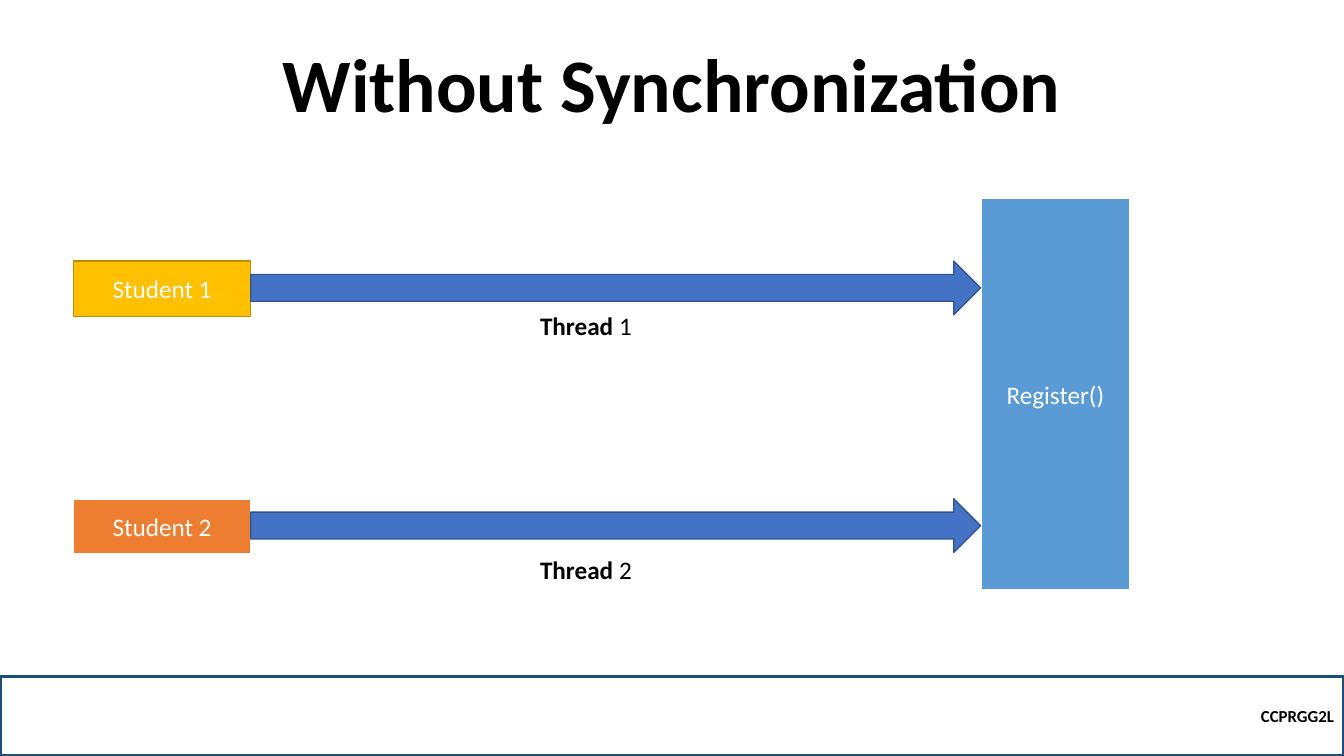
from pptx import Presentation
from pptx.dml.color import RGBColor
from pptx.enum.shapes import MSO_SHAPE as Shape
from pptx.enum.text import MSO_ANCHOR as Anchor, MSO_AUTO_SIZE as AutoSize, PP_ALIGN as Align
from pptx.util import Cm, Pt

BLACK = RGBColor(0x00, 0x00, 0x00)
WHITE = RGBColor(0xFF, 0xFF, 0xFF)
NAVY = RGBColor(0x1F, 0x4E, 0x79)
SKY = RGBColor(0x5B, 0x9B, 0xD5)
ORANGE = RGBColor(0xED, 0x7D, 0x31)
GOLD = RGBColor(0xFF, 0xC0, 0x00)
DARK_GOLD = RGBColor(0xBD, 0x8E, 0x00)
BLUE = RGBColor(0x44, 0x72, 0xC4)
DARK_BLUE = RGBColor(0x32, 0x54, 0x91)

PAGE_WIDTH, PAGE_HEIGHT = 33.87, 19.05


class SlideBuilder:
    font_name = "Calibri"

    def __init__(self, deck):
        self.page = deck.slides.add_slide(deck.slide_layouts[5])

    def add_span(self, para, text, color=BLACK, **formats):
        span = para.add_run()
        span.text = text
        values = {"name": self.font_name, "size": Pt(18), "bold": False, **formats}
        for name, value in values.items():
            setattr(span.font, name, value)
        span.font.color.rgb = color

    def title(self, text, left, top, width, height):
        box = self.page.shapes.title
        place = {"left": left, "top": top, "width": width, "height": height}
        for name, value in place.items():
            setattr(box, name, Cm(value))
        frame = box.text_frame
        frame.auto_size = AutoSize.NONE
        frame.vertical_anchor = Anchor.BOTTOM
        para = frame.paragraphs[0]
        para.alignment, para.line_spacing = Align.CENTER, 0.9
        self.add_span(para, text, size=Pt(54), bold=True)

    def shape(self, kind, place, fill, line, weight):
        box = self.page.shapes.add_shape(kind, *map(Cm, place))
        box.shadow.inherit = False
        if fill is None:
            box.fill.background()
        else:
            box.fill.solid()
            box.fill.fore_color.rgb = fill
        box.line.color.rgb = line
        box.line.width = Pt(weight)
        return box

    def block(self, text, place, fill, line, weight, align=Align.CENTER, **formats):
        box = self.shape(Shape.RECTANGLE, place, fill, line, weight)
        box.text_frame.vertical_anchor = Anchor.MIDDLE
        para = box.text_frame.paragraphs[0]
        para.alignment = align
        self.add_span(para, text, **formats)

    def arrow(self, *place):
        self.shape(Shape.RIGHT_ARROW, place, BLUE, DARK_BLUE, 1)

    def label(self, strong, rest, *place):
        frame = self.page.shapes.add_textbox(*map(Cm, place)).text_frame
        frame.word_wrap = False
        frame.auto_size = AutoSize.SHAPE_TO_FIT_TEXT
        para = frame.paragraphs[0]
        self.add_span(para, strong, bold=True)
        self.add_span(para, rest)


deck = Presentation()
deck.slide_width, deck.slide_height = Cm(PAGE_WIDTH), Cm(PAGE_HEIGHT)
slide = SlideBuilder(deck)

# Title and footer bar
slide.title("Without Synchronization", 4.23, 1.37, 25.4, 2.01)
footer_height = 2.01
slide.block("CCPRGG2L", (0, PAGE_HEIGHT - footer_height, PAGE_WIDTH, footer_height),
            None, NAVY, 2.25, Align.RIGHT, size=Pt(12), bold=True)

# Shared method that both threads call
student_left, student_width, student_height = 1.85, 4.47, 1.4
arrow_left = student_left + student_width
register_left = 24.71
slide.block("Register()", (register_left, 5, 3.78, 9.86), SKY, WHITE, 1.5, color=WHITE)

# One row per student: box, arrow and thread label
rows = [
    (6.58, 7.7, GOLD, DARK_GOLD, 1),
    (12.57, 13.84, ORANGE, WHITE, 1.5),
]
for number, (top, label_top, fill, line, weight) in enumerate(rows, 1):
    slide.block(f"Student {number}", (student_left, top, student_width, student_height),
                fill, line, weight, color=WHITE)
    slide.arrow(arrow_left, top, register_left - arrow_left, 1.35)
    slide.label("Thread", f" {number}", 13.36, label_top, 2.84, 1.02)

deck.save("out.pptx")
